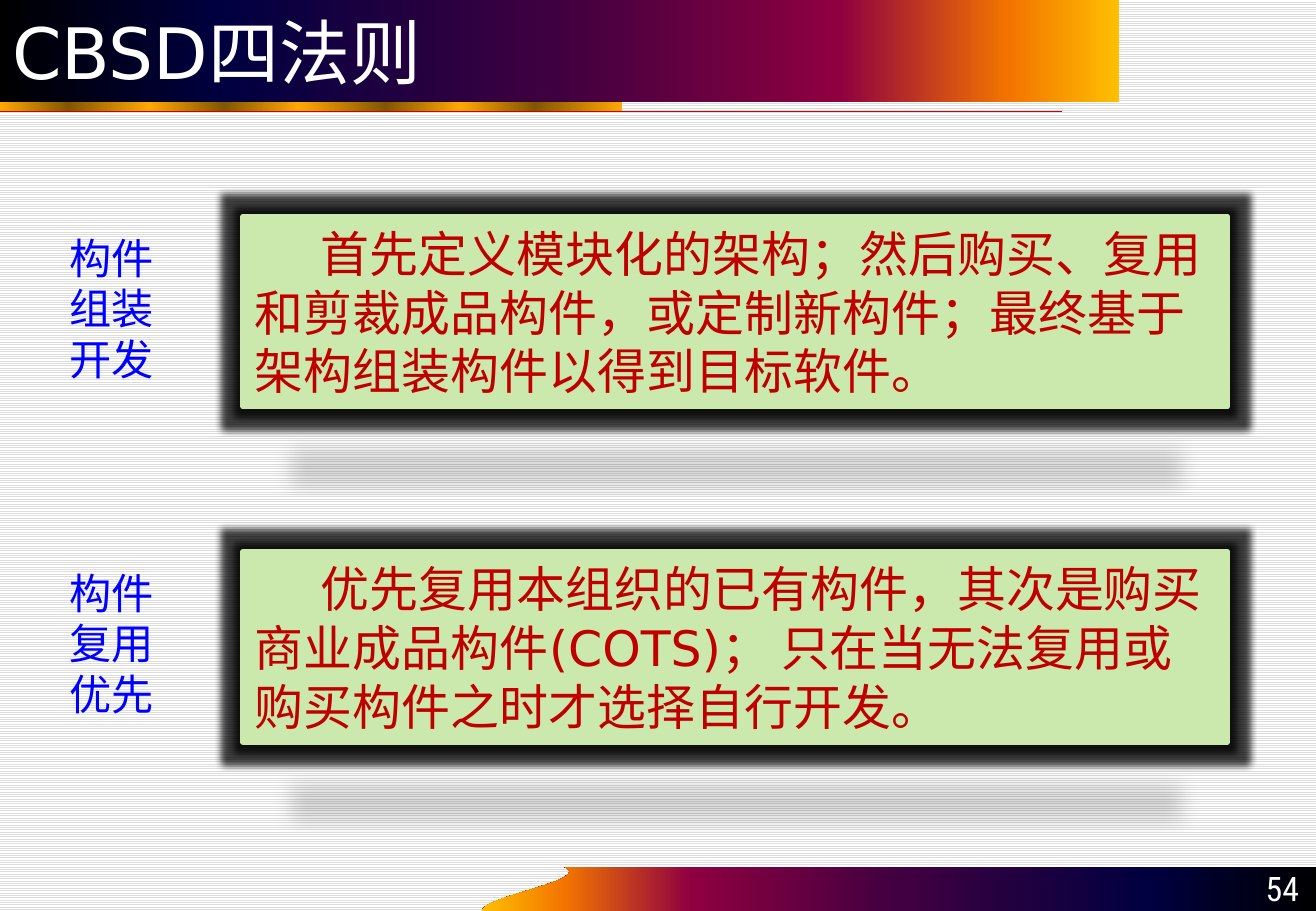
import pptx
import pptx.util
import pptx.dml.color
import pptx.enum.dml
import pptx.enum.shapes
import pptx.enum.text
import pptx.oxml
import pptx.oxml.ns

Inches = pptx.util.Inches
Pt = pptx.util.Pt
PP_ALIGN = pptx.enum.text.PP_ALIGN
ANCHOR = pptx.enum.text.MSO_ANCHOR
NS = pptx.oxml.ns.nsdecls("a")

FONT = "DejaVu Sans"
SUNSET = [(0, "000000"), (20, "000040"), (50, "400040"),
          (75, "8F0040"), (90, "F27300"), (100, "FFBF00")]
GOLD = [(pos, "825600" if i % 2 else "FFA800")
        for i, pos in enumerate([0, 11, 24, 36, 48, 62, 74, 86, 100])]
LAWS = [
    ("构件\v组装\v开发",
     "首先定义模块化的架构；然后购买、复用和剪裁成品构件，或定制新构件；最终基于架构组装构件以得到目标软件。"),
    ("构件\v复用\v优先",
     "优先复用本组织的已有构件，其次是购买商业成品构件(COTS)； 只在当无法复用或购买构件之时才选择自行开发。"),
]


def rgb(color):
    return pptx.dml.color.RGBColor.from_string(color)


def set_gradient(sp, stops, angle=0):
    """Fill a shape with a linear gradient of any number of stops."""
    gs = "".join(f'<a:gs pos="{pos * 1000}"><a:srgbClr val="{color}"/></a:gs>'
                 for pos, color in stops)
    grad = pptx.oxml.parse_xml(
        f'<a:gradFill {NS} rotWithShape="1"><a:gsLst>{gs}</a:gsLst>'
        f'<a:lin ang="{angle * 60000}" scaled="0"/></a:gradFill>')
    sp.fill.background()
    no_fill = sp._element.spPr.find(pptx.oxml.ns.qn("a:noFill"))
    no_fill.getparent().replace(no_fill, grad)


def set_effects(sp, effects=""):
    """Replace the theme effects of a shape or connector."""
    spPr = sp._element.spPr
    for old in spPr.findall(pptx.oxml.ns.qn("a:effectLst")):
        spPr.remove(old)
    spPr.append(pptx.oxml.parse_xml(f"<a:effectLst {NS}>{effects}</a:effectLst>"))


def set_text(sp, text, size, color, font=FONT, align=PP_ALIGN.LEFT,
             anchor=ANCHOR.TOP, wrap=True):
    tf = sp.text_frame
    tf.text = text
    tf.word_wrap = wrap
    tf.auto_size = pptx.enum.text.MSO_AUTO_SIZE.NONE
    tf.vertical_anchor = anchor
    p = tf.paragraphs[0]
    p.alignment = align
    for r in p.runs:
        r.font.size = Pt(size)
        r.font.name = font
        r.font.color.rgb = rgb(color)
    return p


def add_header(s, x, y, w, h):
    # Gold strip and red rule under the title
    strip = s.shapes.add_shape(pptx.enum.shapes.MSO_SHAPE.RECTANGLE,
                               Inches(x), Inches(y + h), Inches(5.12), Inches(0.08))
    strip.shadow.inherit = False
    strip.line.fill.background()
    set_gradient(strip, GOLD)
    rule_y = Inches(y + h + 0.08)
    rule = s.shapes.add_connector(pptx.enum.shapes.MSO_CONNECTOR.STRAIGHT,
                                  Inches(x), rule_y, Inches(x + 8.74), rule_y)
    rule.line.color.rgb = rgb("CC0000")
    rule.line.width = Pt(0.75)
    set_effects(rule)

    # Title bar
    title = s.shapes.title
    title.left, title.top, title.width, title.height = map(Inches, (x, y, w, h))
    set_gradient(title, SUNSET)
    set_text(title, "CBSD四法则", 42, "FFFFFF", anchor=ANCHOR.MIDDLE)


def add_footer(s, x, y, w, h):
    # Wave along the left end: a cubic curve from bottom to top
    ends = [(0, h), (0, 0.24), (0.9, 0.11), (0.68, 0)]
    wave = []
    for i in range(25):
        t = i / 24
        weights = [(1 - t) ** 3, 3 * t * (1 - t) ** 2, 3 * t * t * (1 - t), t ** 3]
        wave.append((Inches(x + sum(k * px for k, (px, _) in zip(weights, ends))),
                     Inches(y + sum(k * py for k, (_, py) in zip(weights, ends)))))
    right = Inches(x + w)
    fb = s.shapes.build_freeform(*wave[0])
    fb.add_line_segments(wave[1:] + [(right, Inches(y)), (right, Inches(y + h))])
    sp = fb.convert_to_shape()
    sp.shadow.inherit = False
    sp.line.fill.background()
    set_gradient(sp, SUNSET, 180)

    # Slide number
    number = s.shapes.add_textbox(Inches(x + w - 1), Inches(y - 0.01),
                                  Inches(0.96), Inches(0.4))
    set_text(number, "54", 20, "FFFFFF", "Roboto Condensed",
             PP_ALIGN.RIGHT, ANCHOR.BOTTOM)


def add_law(s, label, text, x, y, w, h):
    # Panel with a dark glow and a flattened shadow below it
    panel_x = x + 1.53
    sp = s.shapes.add_shape(pptx.enum.shapes.MSO_SHAPE.RECTANGLE, Inches(panel_x),
                            Inches(y), Inches(w - 1.53), Inches(h))
    sp.fill.solid()
    sp.fill.fore_color.rgb = rgb("CCE9AD")
    sp.line.color.rgb = rgb("CCE9AD")
    sp.line.width = Pt(3)
    set_effects(sp, (
        f'<a:glow rad="{Pt(8)}"><a:srgbClr val="000000">'
        '<a:alpha val="75000"/></a:srgbClr></a:glow>'
        f'<a:outerShdw blurRad="{Pt(12)}" dist="{Pt(25)}" dir="5400000" '
        'sx="90000" sy="-19000" rotWithShape="0"><a:srgbClr val="000000">'
        '<a:alpha val="15000"/></a:srgbClr></a:outerShdw>'))
    p = set_text(sp, text, 29, "C00000", anchor=ANCHOR.MIDDLE)
    p._p.get_or_add_pPr().set("indent", str(Inches(0.54)))

    # Label to the left
    tb = s.shapes.add_textbox(Inches(x), Inches(y + 0.08), Inches(0.91), Inches(1.37))
    set_text(tb, label, 25, "0000FF", wrap=False)


def main():
    prs = pptx.Presentation()
    prs.slide_width, prs.slide_height = Inches(10.83), Inches(7.5)
    s = prs.slides.add_slide(prs.slide_layouts[5])

    # Striped background
    fill = s.background.fill
    fill.patterned()
    fill.pattern = pptx.enum.dml.MSO_PATTERN.LIGHT_HORIZONTAL
    fill.fore_color.rgb = rgb("DDDDDD")
    fill.back_color.rgb = rgb("FFFFFF")

    add_header(s, 0, 0, 9.21, 0.84)
    add_footer(s, 3.97, 7.14, 6.86, 0.36)
    for i, (label, text) in enumerate(LAWS):
        add_law(s, label, text, 0.47, 1.78 + i * 2.76, 9.63, 1.57)
    prs.save("out.pptx")


if __name__ == "__main__":
    main()
